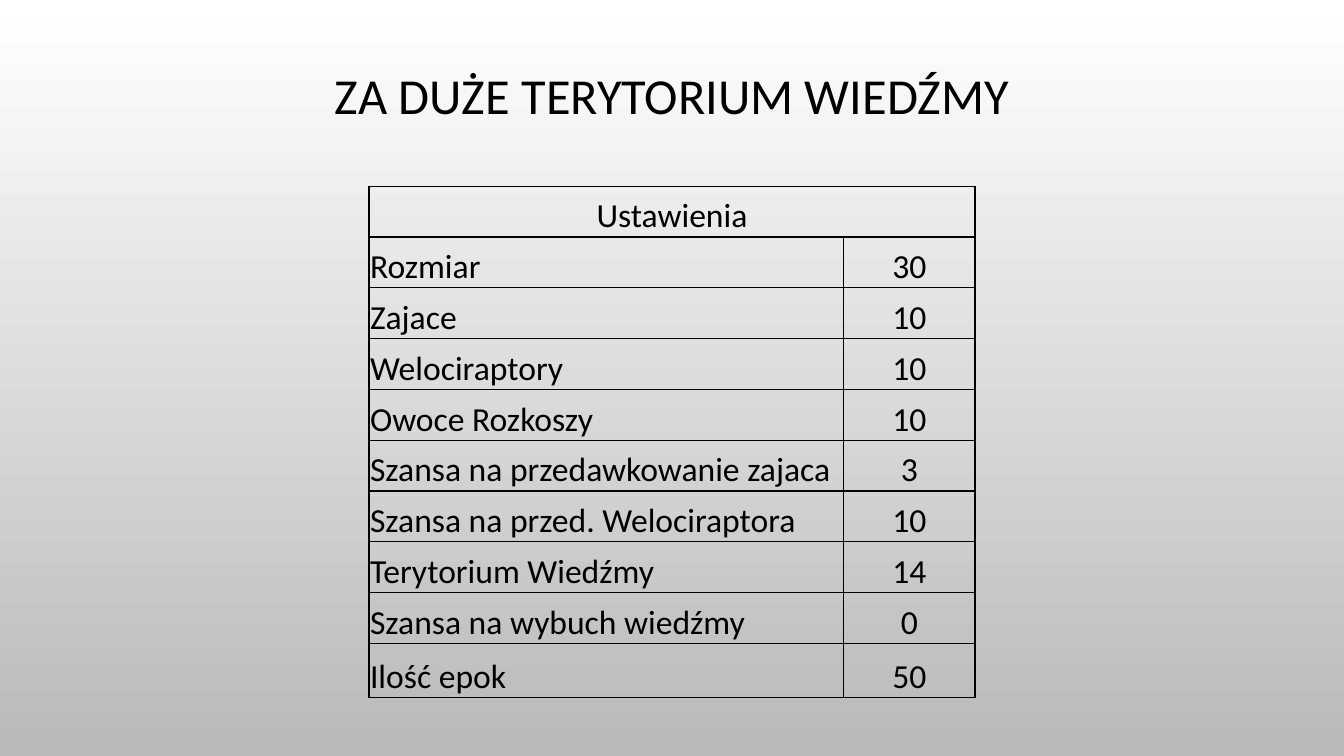
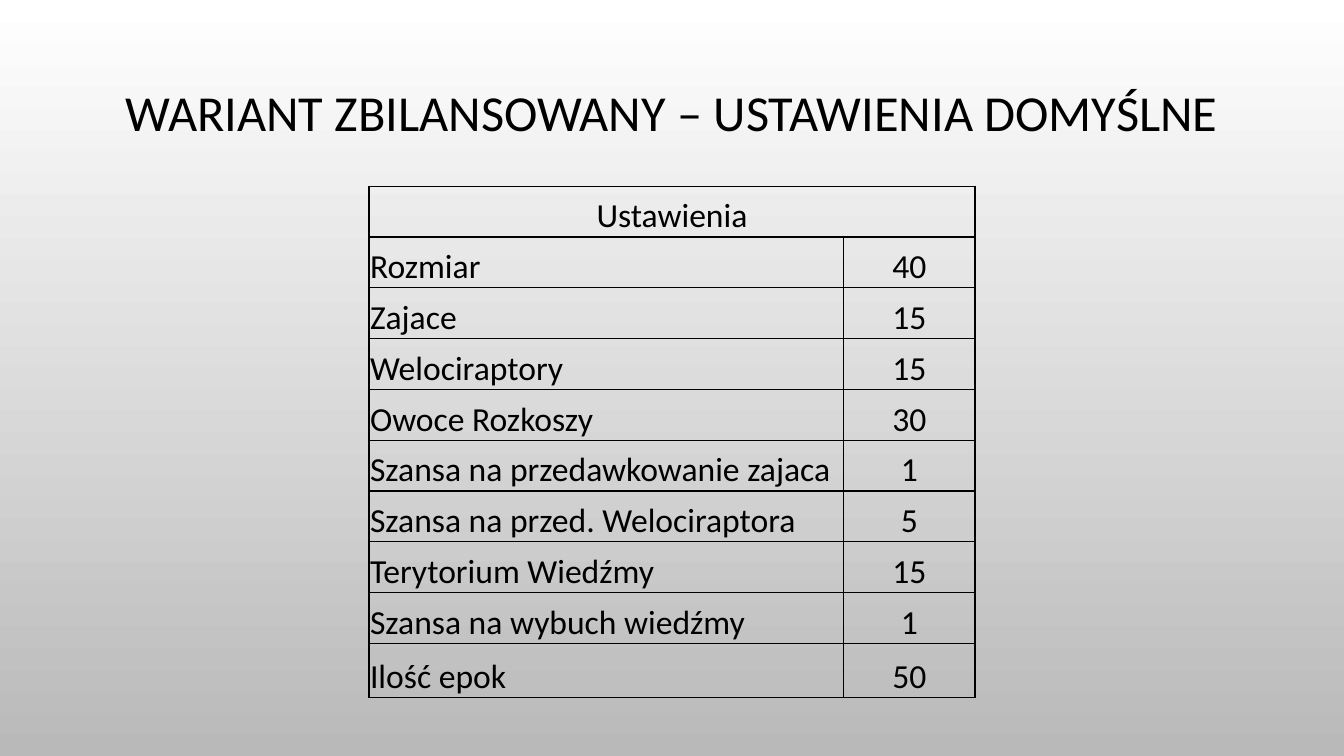
from lxml import etree
from pptx import Presentation
from pptx.dml.color import RGBColor
from pptx.enum import text
from pptx.oxml import ns
from pptx.util import Pt

# Content
HEADING = "Ustawienia"
SETTINGS = [
    "Rozmiar",
    "Zajace",
    "Welociraptory",
    "Owoce Rozkoszy",
    "Szansa na przedawkowanie zajaca",
    "Szansa na przed. Welociraptora",
    "Terytorium Wiedźmy",
    "Szansa na wybuch wiedźmy",
    "Ilość epok",
]
VARIANTS = [
    {"title": "ZA DUŻE TERYTORIUM WIEDŹMY", "title_top": 7.2,
     "values": [30, 10, 10, 10, 3, 10, 14, 0, 50]},
    {"title": "WARIANT ZBILANSOWANY – USTAWIENIA DOMYŚLNE", "title_top": 19.4,
     "values": [40, 15, 15, 30, 1, 5, 15, 1, 50]},
]

# Shared look
BLACK = RGBColor(0x00, 0x00, 0x00)
WHITE = RGBColor(0xFF, 0xFF, 0xFF)
GREY = RGBColor(0xB9, 0xB9, 0xB9)
FONT = "Calibri"
SLIDE_W, SLIDE_H = 960, 540
TITLE_LEFT, TITLE_H = 72, 126
TABLE_TOP = 133
COLUMNS = [339, 93.8]
ROW_H, LAST_ROW_H = 36.3, 38.4
CELL_FORMAT = {
    "margin_left": Pt(0.75), "margin_right": Pt(0.75),
    "margin_top": Pt(0.75), "margin_bottom": Pt(0),
    "vertical_anchor": text.MSO_ANCHOR.BOTTOM,
}


def apply(target, formats):
    for name, value in formats.items():
        setattr(target, name, value)


def write(paragraph, words, size, align):
    paragraph.alignment = align
    run = paragraph.add_run()
    run.text = words
    apply(run.font, {"name": FONT, "size": Pt(size), "bold": False})
    run.font.color.rgb = BLACK


def add_borders(cell):
    properties = cell._tc.get_or_add_tcPr()
    for side in ("lnL", "lnR", "lnT", "lnB"):
        line = etree.SubElement(properties, ns.qn(f"a:{side}"), w=str(Pt(1)))
        fill = etree.SubElement(line, ns.qn("a:solidFill"))
        etree.SubElement(fill, ns.qn("a:srgbClr"), val=str(BLACK))


def add_title(slide, words, top):
    title = slide.shapes.title
    apply(title, {"left": Pt(TITLE_LEFT), "top": Pt(top),
                  "width": Pt(SLIDE_W - 2 * TITLE_LEFT), "height": Pt(TITLE_H)})
    apply(title.text_frame, {"vertical_anchor": text.MSO_ANCHOR.MIDDLE,
                             "auto_size": text.MSO_AUTO_SIZE.NONE,
                             "word_wrap": True})
    paragraph = title.text_frame.paragraphs[0]
    paragraph.line_spacing = 0.9
    write(paragraph, words, 36, text.PP_ALIGN.CENTER)


def add_settings(slide, values):
    rows = [(HEADING, "")] + list(zip(SETTINGS, map(str, values)))
    heights = [ROW_H] * (len(rows) - 1) + [LAST_ROW_H]
    width = sum(COLUMNS)
    table = slide.shapes.add_table(
        len(rows), len(COLUMNS), Pt((SLIDE_W - width) / 2), Pt(TABLE_TOP),
        Pt(width), Pt(sum(heights))).table
    apply(table, {"first_row": False, "horz_banding": False})
    for column, column_width in zip(table.columns, COLUMNS):
        column.width = Pt(column_width)
    for row, height in zip(table.rows, heights):
        row.height = Pt(height)
    table.cell(0, 0).merge(table.cell(0, 1))

    for r, row in enumerate(rows):
        for c, words in enumerate(row):
            cell = table.cell(r, c)
            apply(cell, CELL_FORMAT)
            add_borders(cell)
            cell.fill.background()
            if words:
                centred = r == 0 or c == 1
                align = text.PP_ALIGN.CENTER if centred else text.PP_ALIGN.LEFT
                write(cell.text_frame.paragraphs[0], words, 24, align)


def main():
    deck = Presentation()
    apply(deck, {"slide_width": Pt(SLIDE_W), "slide_height": Pt(SLIDE_H)})

    # Background for every slide, white at the top
    backdrop = deck.slide_master.background.fill
    backdrop.gradient()
    backdrop.gradient_angle = 270
    for stop, colour in zip(backdrop.gradient_stops, (WHITE, GREY)):
        stop.color.rgb = colour

    # One slide per variant
    title_only = deck.slide_layouts[5]
    for variant in VARIANTS:
        slide = deck.slides.add_slide(title_only)
        add_title(slide, variant["title"], variant["title_top"])
        add_settings(slide, variant["values"])

    deck.save("out.pptx")


if __name__ == "__main__":
    main()
